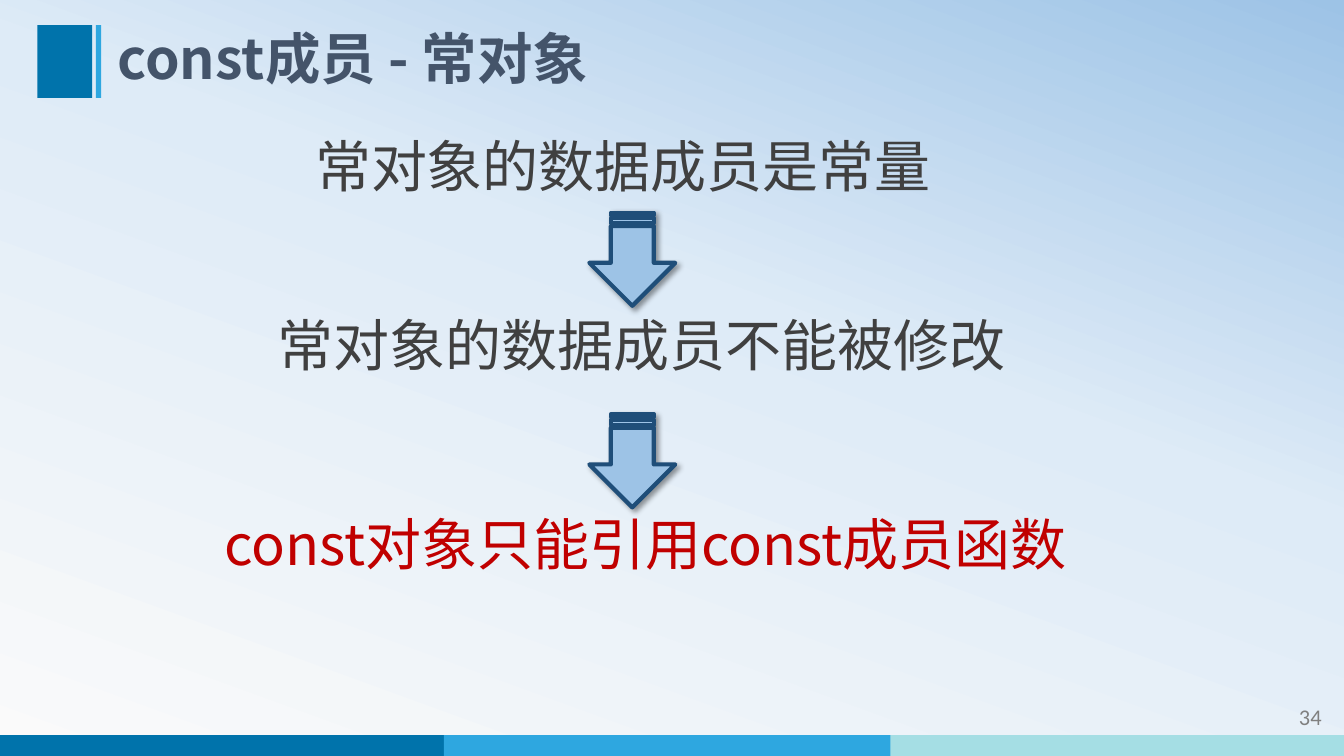
from lxml import etree
from pptx import Presentation
from pptx.dml.color import RGBColor
from pptx.enum.shapes import MSO_SHAPE
from pptx.enum.text import MSO_ANCHOR, PP_ALIGN
from pptx.oxml.ns import qn
from pptx.util import Pt

RECT, ARROW = MSO_SHAPE.RECTANGLE, MSO_SHAPE.STRIPED_RIGHT_ARROW
TOP, MIDDLE = MSO_ANCHOR.TOP, MSO_ANCHOR.MIDDLE
LEFT, RIGHT = PP_ALIGN.LEFT, PP_ALIGN.RIGHT
CJK = "Noto Sans CJK SC"
COLORS = {"blue": "0073AB", "sky": "2EA7E0", "aqua": "A5DEE4", "title": "44546A",
          "body": "404040", "red": "C00000", "number": "808080",
          "arrow": "9DC3E6", "outline": "1F4E79"}
BACKGROUND = [(0, "FAFAFA"), (58, "DEEBF7"), (100, "9DC3E6")]

prs = Presentation()
prs.slide_width, prs.slide_height = Pt(960), Pt(540)
s = prs.slides.add_slide(prs.slide_layouts[6])


def add_filled(kind, x, y, w, h, color):
    sp = s.shapes.add_shape(kind, Pt(x), Pt(y), Pt(w), Pt(h))
    sp.shadow.inherit = False
    sp.fill.solid()
    sp.fill.fore_color.rgb = RGBColor.from_string(COLORS[color])
    sp.line.fill.background()
    return sp


def add_text(text, x, y, w, h, size, color, font=CJK, bold=False,
             anchor=TOP, align=LEFT, before=0, spacing=0.9):
    tf = s.shapes.add_textbox(Pt(x), Pt(y), Pt(w), Pt(h)).text_frame
    tf.word_wrap = True
    tf.vertical_anchor = anchor
    p = tf.paragraphs[0]
    p.text = text
    p.alignment, p.line_spacing, p.space_before = align, spacing, Pt(before)
    r = p.runs[0]
    r.font.name, r.font.size, r.font.bold = font, Pt(size), bold
    r.font.color.rgb = RGBColor.from_string(COLORS[color])
    etree.SubElement(r.font._element, qn("a:ea"), typeface=font)


# Background gradient, rising towards the upper right
fill = s.background.fill
fill.gradient()
fill.gradient_angle = 70
stops = s.background._cSld.find(".//" + qn("a:gsLst"))
for gs in list(stops):
    stops.remove(gs)
for pos, color in BACKGROUND:
    gs = etree.SubElement(stops, qn("a:gs"), pos=str(pos * 1000))
    etree.SubElement(gs, qn("a:srgbClr"), val=color)

# Footer band and title marker
for x, color in [(-2, "blue"), (317, "sky"), (636, "aqua")]:
    add_filled(RECT, x, 525, 324, 15, color)
add_filled(RECT, 26.8, 18, 39, 52, "blue")
add_filled(RECT, 68.5, 18, 3.8, 52, "sky")

# Title and page number
add_text("const成员 - 常对象", 77, 18, 782, 52, 39.6, "title", bold=True, anchor=MIDDLE)
add_text("34", 836.6, 497.5, 114.5, 28.8, 16, "number", font="Calibri",
         anchor=MIDDLE, align=RIGHT, spacing=1.0)

# Chain of statements
for text, x, y, w, color in [("常对象的数据成员是常量", 218, 95.8, 468, "body"),
                             ("常对象的数据成员不能被修改", 191.5, 224, 554, "body"),
                             ("const对象只能引用const成员函数", 153.4, 365.8, 658, "red")]:
    add_text(text, x, y, w, 50, 40, color, before=10)

# Down arrows between the statements
for y in (154.5, 298.5):
    sp = add_filled(ARROW, 418.4, y, 66.5, 61.4, "arrow")
    sp.rotation = 90
    sp.line.color.rgb = RGBColor.from_string(COLORS["outline"])
    sp.line.width = Pt(3)
    effects = sp._element.spPr.find(qn("a:effectLst"))
    shadow = etree.SubElement(effects, qn("a:outerShdw"), blurRad=str(Pt(4)),
                              dist=str(Pt(3)), dir="2700000", rotWithShape="0")
    clr = etree.SubElement(shadow, qn("a:srgbClr"), val="000000")
    etree.SubElement(clr, qn("a:alpha"), val="40000")

prs.save("out.pptx")
